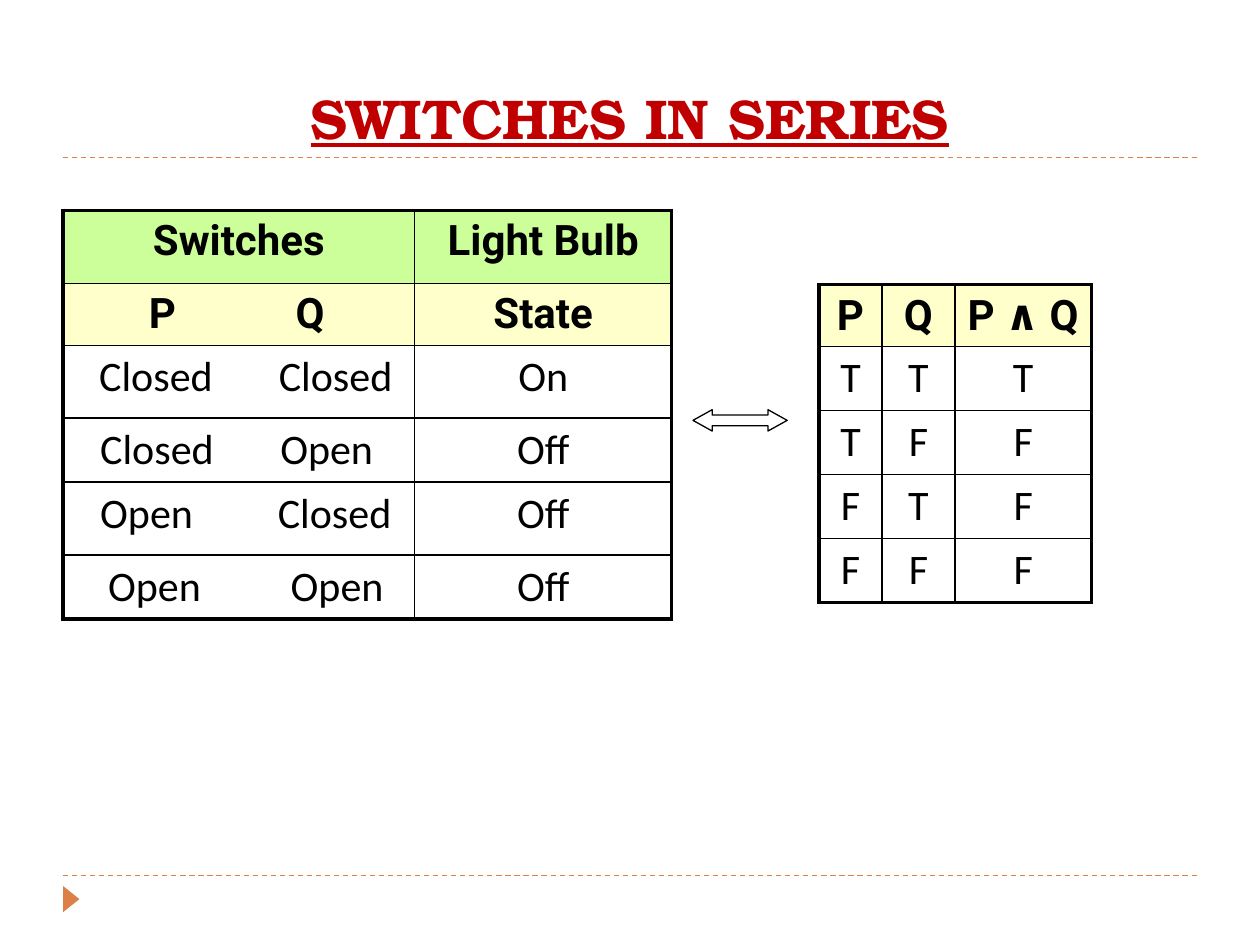
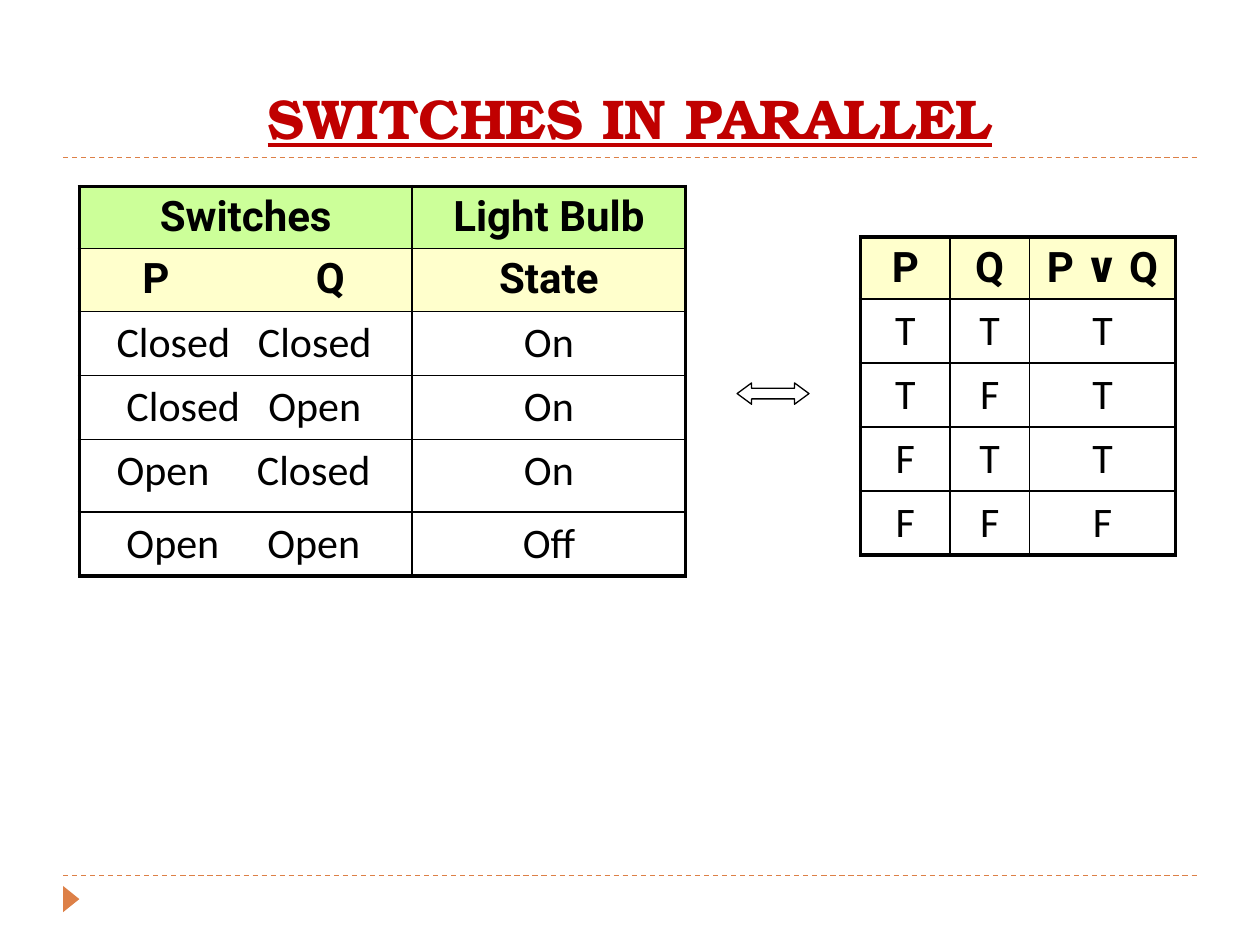
import itertools

import pptx
import pptx.dml.color
import pptx.enum.dml
import pptx.enum.shapes
import pptx.enum.text
import pptx.oxml
import pptx.oxml.ns
import pptx.util

Cm = pptx.util.Cm
Pt = pptx.util.Pt
RGB = pptx.dml.color.RGBColor
Align = pptx.enum.text.PP_ALIGN
Kind = pptx.enum.shapes.MSO_SHAPE

BLACK = RGB(0x00, 0x00, 0x00)
RED = RGB(0xC0, 0x00, 0x00)
ORANGE = RGB(0xDD, 0x80, 0x47)
GREEN = RGB(0xCC, 0xFF, 0x99)
CREAM = RGB(0xFF, 0xFF, 0xCC)

THIN, THICK = 1, 2.25
PAD = 0.25
NS = pptx.oxml.ns.nsdecls("a")


class Deck:
    serif, head, body = "TeX Gyre Bonum", "Roboto", "Calibri"

    def __init__(self):
        self.show = pptx.Presentation()
        self.show.slide_width, self.show.slide_height = Cm(25.4), Cm(19.05)
        self.slide = None

    def start(self, title):
        first = self.slide is None
        self.slide = self.show.slides.add_slide(self.show.slide_layouts[5])
        if first:
            self.frame()
        box = self.slide.shapes.title
        box.left, box.top, box.width, box.height = Cm(1.27), Cm(0.43), Cm(22.86), Cm(2.74)
        text = box.text_frame
        text.text = title
        text.auto_size = pptx.enum.text.MSO_AUTO_SIZE.NONE
        text.vertical_anchor = pptx.enum.text.MSO_ANCHOR.BOTTOM
        self.style(text.paragraphs[0], self.serif, 32, RED, True)
        text.paragraphs[0].runs[0].font.underline = True

    def frame(self):
        """Put the dashed rules and the corner marker on the slide master."""
        mark = self.shape(Kind.ISOSCELES_TRIANGLE, 1.17, 17.96, 0.53, 0.33)
        mark.rotation = 90
        mark.fill.solid()
        mark.fill.fore_color.rgb = ORANGE
        mark.line.fill.background()
        parts = [self.rule(17.65), self.rule(3.17), mark]
        for num, part in enumerate(parts, 101):
            part.element.xpath(".//p:cNvPr")[0].set("id", str(num))
            self.show.slide_master.shapes.element.append(part.element)

    def rule(self, y):
        line = self.slide.shapes.add_connector(
            pptx.enum.shapes.MSO_CONNECTOR.STRAIGHT, Cm(1.27), Cm(y), Cm(24.13), Cm(y))
        line.line.color.rgb = ORANGE
        line.line.width = Pt(0.75)
        line.line.dash_style = pptx.enum.dml.MSO_LINE.DASH
        line.element.spPr.append(pptx.oxml.parse_xml(f"<a:effectLst {NS}/>"))
        return line

    def shape(self, kind, x, y, w, h):
        item = self.slide.shapes.add_shape(kind, Cm(x), Cm(y), Cm(w), Cm(h))
        item.shadow.inherit = False
        return item

    def arrow(self, x, y, w, tip):
        item = self.shape(Kind.LEFT_RIGHT_ARROW, x, y, w, 0.43)
        item.adjustments[0], item.adjustments[1] = 0.5, tip
        item.fill.background()
        item.line.color.rgb = BLACK
        item.line.width = Pt(0.75)

    def style(self, para, face, size, color, bold, align=Align.CENTER):
        para.alignment = align
        for run in para.runs:
            font = run.font
            font.name, font.size, font.bold = face, Pt(size), bold
            font.color.rgb = color

    def table(self, x, y, cols, highs, rows, fills):
        """Draw rows of text; fills colours the leading (heading) rows."""
        grid = self.slide.shapes.add_table(
            len(rows), len(cols), Cm(x), Cm(y), Cm(sum(cols)), Cm(sum(highs))).table
        grid.first_row = grid.horz_banding = False
        for col, wide in zip(grid.columns, cols):
            col.width = Cm(wide)
        for row, high in zip(grid.rows, highs):
            row.height = Cm(high)
        for r, row in enumerate(rows):
            for c, item in enumerate(row):
                cell = grid.cell(r, c)
                edges = {"L": c == 0, "R": c == len(cols) - 1,
                         "T": r == 0, "B": r == len(rows) - 1}
                self.border(cell, edges)
                if r < len(fills):
                    cell.fill.solid()
                    cell.fill.fore_color.rgb = fills[r]
                else:
                    cell.fill.background()
                self.fill(cell, item, r < len(fills))

    def fill(self, cell, item, bold):
        """Write a plain string, or a pair of words set at two positions."""
        para = cell.text_frame.paragraphs[0]
        align = Align.CENTER
        if isinstance(item, tuple):
            left, right, start, stop = item
            cell.margin_left = Cm(PAD + start)
            tabs = f'<a:tabLst {NS}><a:tab pos="{Cm(stop - start)}" algn="l"/></a:tabLst>'
            para._p.get_or_add_pPr().append(pptx.oxml.parse_xml(tabs))
            item, align = f"{left}\t{right}", Align.LEFT
        para.text = item
        para.space_after = Pt(10)
        self.style(para, self.head if bold else self.body, 24, BLACK, bold, align)

    def border(self, cell, edges):
        props = cell._tc.get_or_add_tcPr()
        for side, outer in edges.items():
            width = Pt(THICK if outer else THIN)
            props.append(pptx.oxml.parse_xml(
                f'<a:ln{side} {NS} w="{width}"><a:solidFill>'
                f'<a:srgbClr val="{BLACK}"/></a:solidFill></a:ln{side}>'))

    def bulb(self, x, y, cols, highs, pairs, states):
        """Table of switch positions and the bulb state they give."""
        rows = [("Switches", "Light Bulb"), *zip(pairs, ["State", *states])]
        self.table(x, y, cols, highs, rows, [GREEN, CREAM])

    def truth(self, x, y, cols, sign, rule):
        rows = [("P", "Q", f"P {sign} Q")]
        for p, q in itertools.product("TF", repeat=2):
            rows.append((p, q, "T" if rule((p == "T", q == "T")) else "F"))
        self.table(x, y, cols, [1.24] + [1.29] * 4, rows, [CREAM])


def main():
    deck = Deck()

    deck.start("SWITCHES IN SERIES")
    pairs = [("P", "Q", 1.48, 4.44),
             ("Closed", "Closed", 0.48, 4.1),
             ("Closed", "Open", 0.5, 4.13),
             ("Open", "Closed", 0.5, 4.08),
             ("Open", "Open", 0.66, 4.34)]
    deck.bulb(1.27, 4.24, [7.09, 5.18], [1.47, 1.24, 1.47, 1.27, 1.47, 1.27],
              pairs, ["On", "Off", "Off", "Off"])
    deck.arrow(13.97, 8.26, 1.9, 0.9)
    deck.truth(16.51, 5.74, [1.27, 1.47, 2.75], "∧", all)

    deck.start("SWITCHES IN PARALLEL")
    pairs = [("P", "Q", 1.02, 4.52),
             ("Closed", "Closed", 0.5, 3.35),
             ("Closed", "Open", 0.7, 3.56),
             ("Open", "Closed", 0.5, 3.33),
             ("Open", "Open", 0.7, 3.54)]
    deck.truth(17.35, 4.78, [1.8, 1.6, 2.95], "∨", any)
    deck.bulb(1.6, 3.76, [6.71, 5.51], [1.24, 1.27, 1.27, 1.27, 1.47, 1.27],
              pairs, ["On", "On", "On", "Off"])
    deck.arrow(14.86, 7.72, 1.45, 0.68)

    deck.show.save("out.pptx")


if __name__ == "__main__":
    main()
